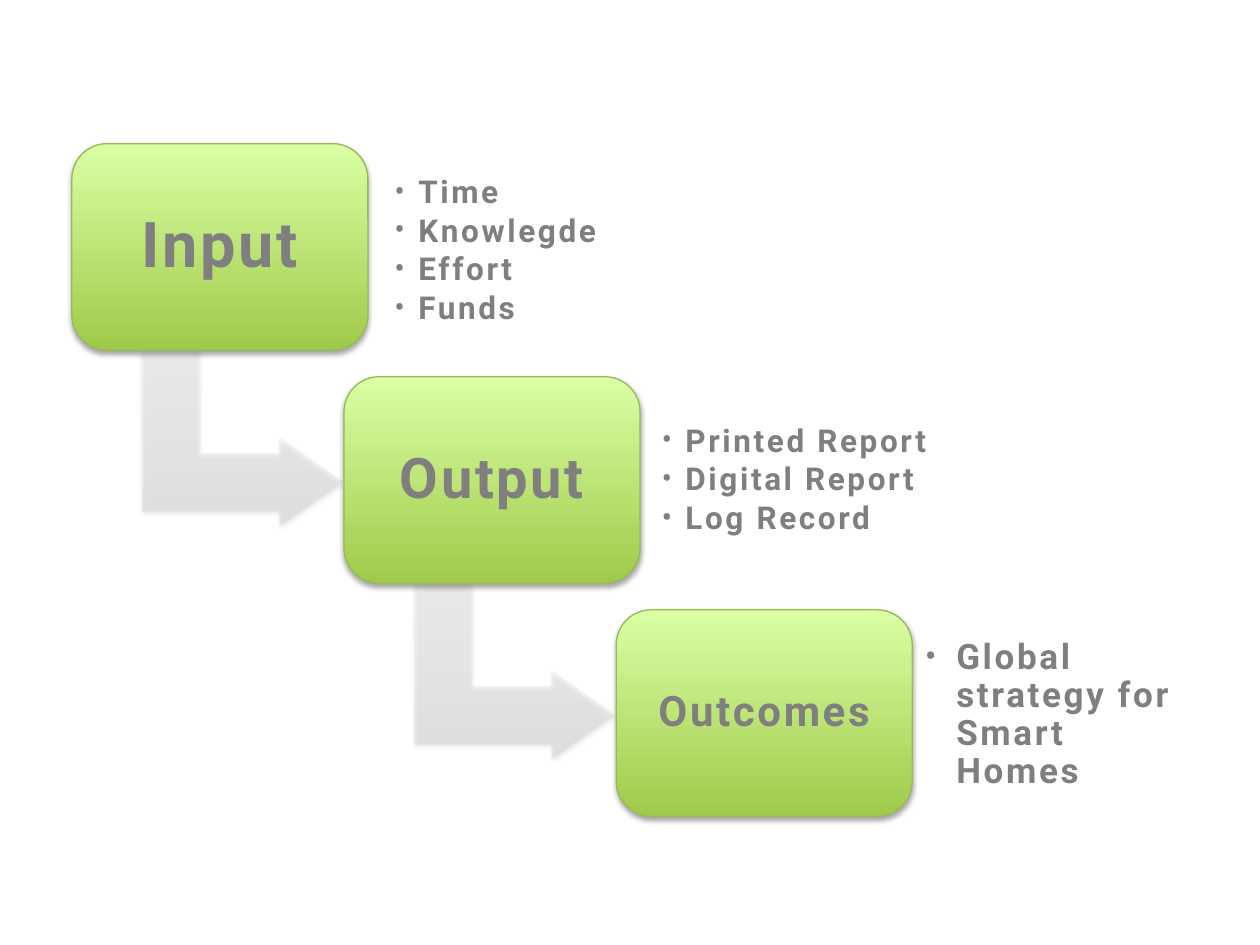
from lxml import etree
from pptx import Presentation
from pptx.dml.color import RGBColor
from pptx.enum import shapes, text
from pptx.oxml import parse_xml
from pptx.oxml.ns import nsdecls, qn
from pptx.util import Inches, Pt

GRAY = RGBColor(0x7F, 0x7F, 0x7F)
OUTLINE = RGBColor(0x98, 0xB9, 0x55)
GREENS = [(0, RGBColor(0xA0, 0xCA, 0x4A)), (100, RGBColor(0xDA, 0xFF, 0xA5))]
SILVERS = [(0, RGBColor(0xBD, 0xBD, 0xBD)), (35, RGBColor(0xD1, 0xD1, 0xD1)),
           (100, RGBColor(0xEE, 0xEE, 0xEE))]


def shade(shape, stops, opacity, shadow_opacity, distance):
    """Give a shape an upward gradient and a soft shadow below."""
    shape.shadow.inherit = False
    stop_xml = "".join(
        f'<a:gs pos="{pos * 1000}"><a:srgbClr val="{color}">'
        f'<a:alpha val="{opacity * 1000}"/></a:srgbClr></a:gs>'
        for pos, color in stops)
    gradient = parse_xml(
        f'<a:gradFill {nsdecls("a")} rotWithShape="0"><a:gsLst>{stop_xml}</a:gsLst>'
        '<a:lin ang="16200000" scaled="0"/></a:gradFill>')
    properties = shape.fill._xPr
    properties.find(qn("a:prstGeom")).addnext(gradient)
    properties.find(qn("a:effectLst")).append(parse_xml(
        f'<a:outerShdw {nsdecls("a")} blurRad="{Pt(3.1)}" dist="{Pt(distance)}" '
        'dir="5400000" rotWithShape="0"><a:srgbClr val="000000">'
        f'<a:alpha val="{shadow_opacity * 1000}"/></a:srgbClr></a:outerShdw>'))


def add_words(paragraph, words, size):
    paragraph.line_spacing = 0.9
    run = paragraph.add_run()
    run.text = words
    run.font.name = "Roboto"
    run.font.size = Pt(size)
    run.font.bold = True
    run.font.color.rgb = GRAY
    run.font._element.set("spc", "150")


prs = Presentation()
prs.slide_width, prs.slide_height = Inches(10), Inches(7.5)
slide = prs.slides.add_slide(prs.slide_layouts[6])

# Stage name and size; list place, width, text size, indent, margin and items
stages = [
    ("Input", 36, (3.06, 1.33), 2.59, 18, 0.19, 0.07,
     ["Time", "Knowlegde", "Effort", "Funds"]),
    ("Output", 32, (5.18, 3.15), 3.32, 18, 0.19, 0.07,
     ["Printed Report", "Digital Report", "Log Record"]),
    ("Outcomes", 24, (7.26, 5.01), 2.3, 20, 0.25, 0.08,
     ["Global strategy for Smart Homes"]),
]

for step, (name, name_size, place, width, size, indent, margin, items) in enumerate(stages):
    left, top = 0.57 + 2.16 * step, 1.14 + 1.85 * step

    # Bent arrow leading to the next stage
    if step < len(stages) - 1:
        arrow = slide.shapes.add_shape(
            shapes.MSO_SHAPE.BENT_UP_ARROW, Inches(left + 0.66), Inches(top + 1.54),
            Inches(1.39), Inches(1.59))
        arrow.rotation = 90
        for i, ratio in enumerate([0.33, 0.25, 0.36]):
            arrow.adjustments[i] = ratio
        arrow.line.fill.background()
        shade(arrow, SILVERS, 24, 38, 1.6)

    # Stage box
    stage = slide.shapes.add_shape(
        shapes.MSO_SHAPE.ROUNDED_RECTANGLE, Inches(left), Inches(top),
        Inches(2.35), Inches(1.64))
    stage.adjustments[0] = 0.17
    stage.line.color.rgb = OUTLINE
    stage.line.width = Pt(0.75)
    shade(stage, GREENS, 100, 35, 1.8)
    stage.text_frame.vertical_anchor = text.MSO_ANCHOR.MIDDLE
    heading = stage.text_frame.paragraphs[0]
    heading.alignment = text.PP_ALIGN.CENTER
    add_words(heading, name, name_size)

    # Bulleted list beside the box
    details = slide.shapes.add_textbox(
        Inches(place[0]), Inches(place[1]), Inches(width), Inches(1.33)).text_frame
    details.word_wrap = True
    details.vertical_anchor = text.MSO_ANCHOR.MIDDLE
    details.margin_left = details.margin_right = Inches(margin)
    details.margin_top = details.margin_bottom = Inches(margin)
    for i, item in enumerate(items):
        paragraph = details.add_paragraph() if i else details.paragraphs[0]
        paragraph.space_after = Pt(2.6)
        add_words(paragraph, item, size)
        layout = paragraph._p.get_or_add_pPr()
        layout.set("marL", str(Inches(indent)))
        layout.set("indent", str(-Inches(indent)))
        etree.SubElement(layout, qn("a:buFont")).set("typeface", "Roboto")
        etree.SubElement(layout, qn("a:buChar")).set("char", "•")

prs.save("out.pptx")
